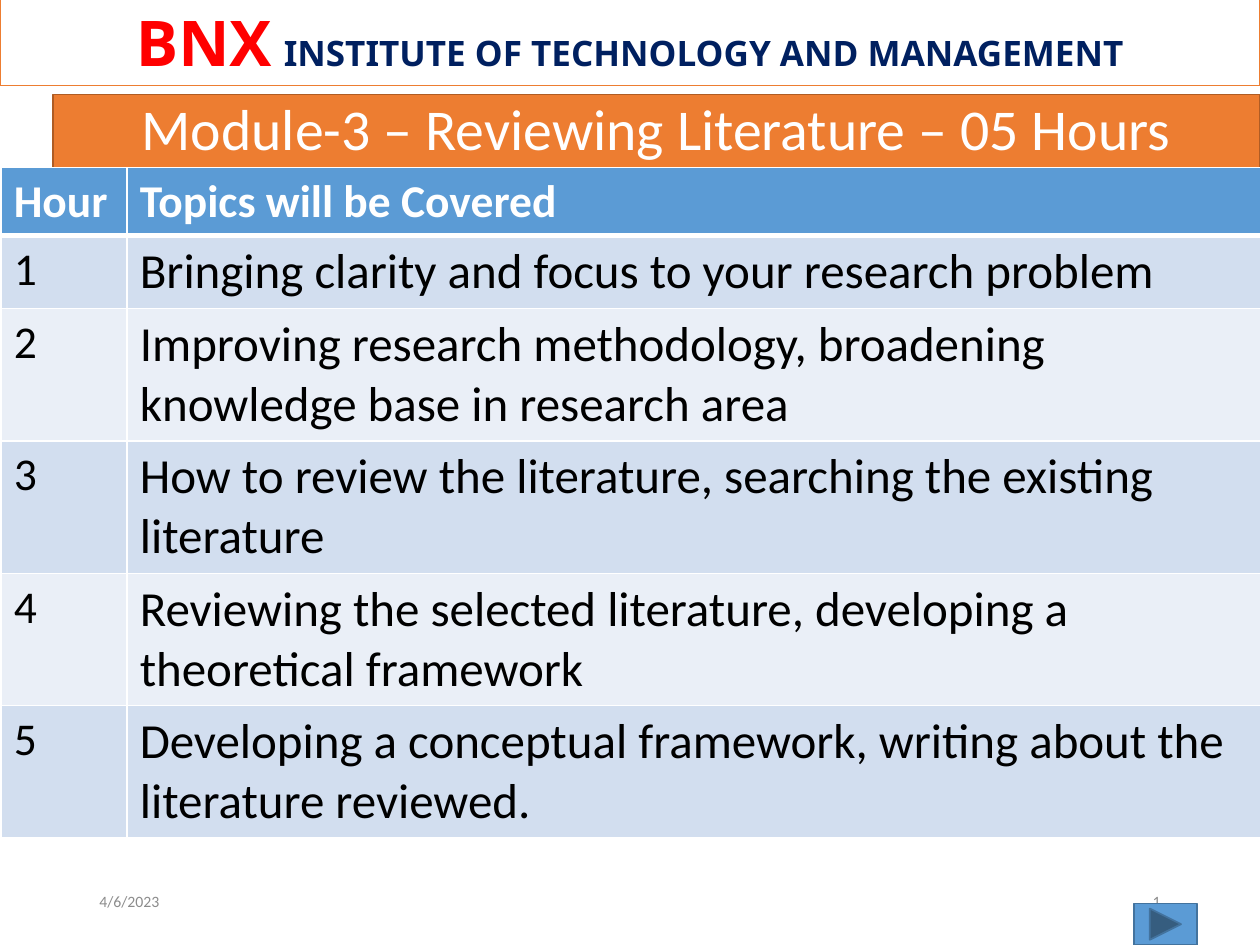
"""Build the module overview slide with its table of hourly topics."""
import pptx
import pptx.util
import pptx.dml.color
import pptx.enum.shapes
import pptx.enum.text
import pptx.oxml
import pptx.oxml.ns

Inches = pptx.util.Inches
Pt = pptx.util.Pt
RGBColor = pptx.dml.color.RGBColor
MSO_SHAPE = pptx.enum.shapes.MSO_SHAPE
PP_ALIGN = pptx.enum.text.PP_ALIGN
MSO_ANCHOR = pptx.enum.text.MSO_ANCHOR

WHITE = RGBColor(0xFF, 0xFF, 0xFF)
BLACK = RGBColor(0x00, 0x00, 0x00)
ORANGE = RGBColor(0xED, 0x7D, 0x31)
DARK_ORANGE = RGBColor(0xAF, 0x5C, 0x24)
BLUE = RGBColor(0x5B, 0x9B, 0xD5)
DARK_BLUE = RGBColor(0x43, 0x73, 0x9E)
NAVY = RGBColor(0x00, 0x20, 0x60)
RED = RGBColor(0xFF, 0x00, 0x00)
GREY = RGBColor(0x8C, 0x8C, 0x8C)
BAND_DARK = RGBColor(0xD2, 0xDE, 0xEF)
BAND_LIGHT = RGBColor(0xEA, 0xEF, 0xF7)


def paint(shape, fill, line):
    """Give a shape a solid fill and a one-point outline."""
    shape.fill.solid()
    shape.fill.fore_color.rgb = fill
    shape.line.color.rgb = line
    shape.line.width = Pt(1)


def set_font(font, size, color, bold=False, name="Calibri"):
    """Set size, colour, weight and typeface."""
    font.size = Pt(size)
    font.color.rgb = color
    font.bold = bold
    font.name = name


deck = pptx.Presentation()
deck.slide_width = Inches(10)
deck.slide_height = Inches(7.5)
page = deck.slides.add_slide(deck.slide_layouts[5])

banner = page.shapes.add_shape(
    MSO_SHAPE.RECTANGLE, Inches(0), Inches(-0.03), Inches(10), Inches(0.71))
banner.shadow.inherit = False
paint(banner, WHITE, ORANGE)
frame = banner.text_frame
frame.word_wrap = True
frame.vertical_anchor = MSO_ANCHOR.MIDDLE
frame.margin_top = frame.margin_bottom = 0
para = frame.paragraphs[0]
para.alignment = PP_ALIGN.CENTER
for text, size, color in [
    ("BNX", 36, RED),
    (" ", 27, RED),
    ("INSTITUTE OF TECHNOLOGY AND MANAGEMENT", 20, NAVY),
]:
    span = para.add_run()
    span.text = text
    set_font(span.font, size, color, True, "Noto Sans")

title = page.shapes.title
title.left, title.top = Inches(0.42), Inches(0.75)
title.width, title.height = Inches(9.58), Inches(0.83)
paint(title, ORANGE, DARK_ORANGE)
frame = title.text_frame
frame.text = "Module-3 – Reviewing Literature – 05 Hours"
frame.auto_size = pptx.enum.text.MSO_AUTO_SIZE.NONE
frame.vertical_anchor = MSO_ANCHOR.TOP
para = frame.paragraphs[0]
para.alignment = PP_ALIGN.CENTER
para.line_spacing = 0.9
set_font(para.font, 33, WHITE)

for text, left, alignment in [
    ("4/6/2023", 0.69, PP_ALIGN.LEFT),
    ("1", 7.06, PP_ALIGN.RIGHT),
]:
    box = page.shapes.add_textbox(
        Inches(left), Inches(6.95), Inches(2.25), Inches(0.4))
    frame = box.text_frame
    frame.word_wrap = True
    frame.vertical_anchor = MSO_ANCHOR.MIDDLE
    para = frame.paragraphs[0]
    para.text = text
    para.alignment = alignment
    set_font(para.font, 9, GREY)

topics = [
    "Bringing clarity and focus to your research problem",
    "Improving research methodology, broadening knowledge base in research area",
    "How to review the literature, searching the existing literature",
    "Reviewing the selected literature, developing a theoretical framework",
    "Developing a conceptual framework, writing about the literature reviewed.",
]
rows = [("Hour", "Topics will be Covered")]
rows += [(str(hour), topic) for hour, topic in enumerate(topics, 1)]
heights = [0.54, 0.58] + [1.05] * 4
table = page.shapes.add_table(
    len(rows), 2, Inches(0.01), Inches(1.33), Inches(10), Inches(sum(heights))).table
table.columns[0].width = Inches(1)
table.columns[1].width = Inches(9)

for row_index, row in enumerate(rows):
    table.rows[row_index].height = Inches(heights[row_index])
    header = row_index == 0
    band = BLUE if header else BAND_DARK if row_index % 2 else BAND_LIGHT
    for column_index, text in enumerate(row):
        cell = table.cell(row_index, column_index)
        cell.text = text
        size = 26 if header or column_index == 0 else 28
        set_font(cell.text_frame.paragraphs[0].font, size,
                 WHITE if header else BLACK, header)
        properties = cell._tc.get_or_add_tcPr()
        for side in ("L", "R", "T", "B"):
            thick = (header and side == "B") or (row_index == 1 and side == "T")
            properties.append(pptx.oxml.parse_xml(
                f'<a:ln{side} {pptx.oxml.ns.nsdecls("a")} w="{Pt(3 if thick else 1)}">'
                f'<a:solidFill><a:srgbClr val="{WHITE}"/></a:solidFill></a:ln{side}>'))
        cell.fill.solid()
        cell.fill.fore_color.rgb = band

next_button = page.shapes.add_shape(
    MSO_SHAPE.ACTION_BUTTON_FORWARD_OR_NEXT,
    Inches(9), Inches(7.17), Inches(0.5), Inches(0.33))
next_button.shadow.inherit = False
paint(next_button, BLUE, DARK_BLUE)

deck.save("out.pptx")
